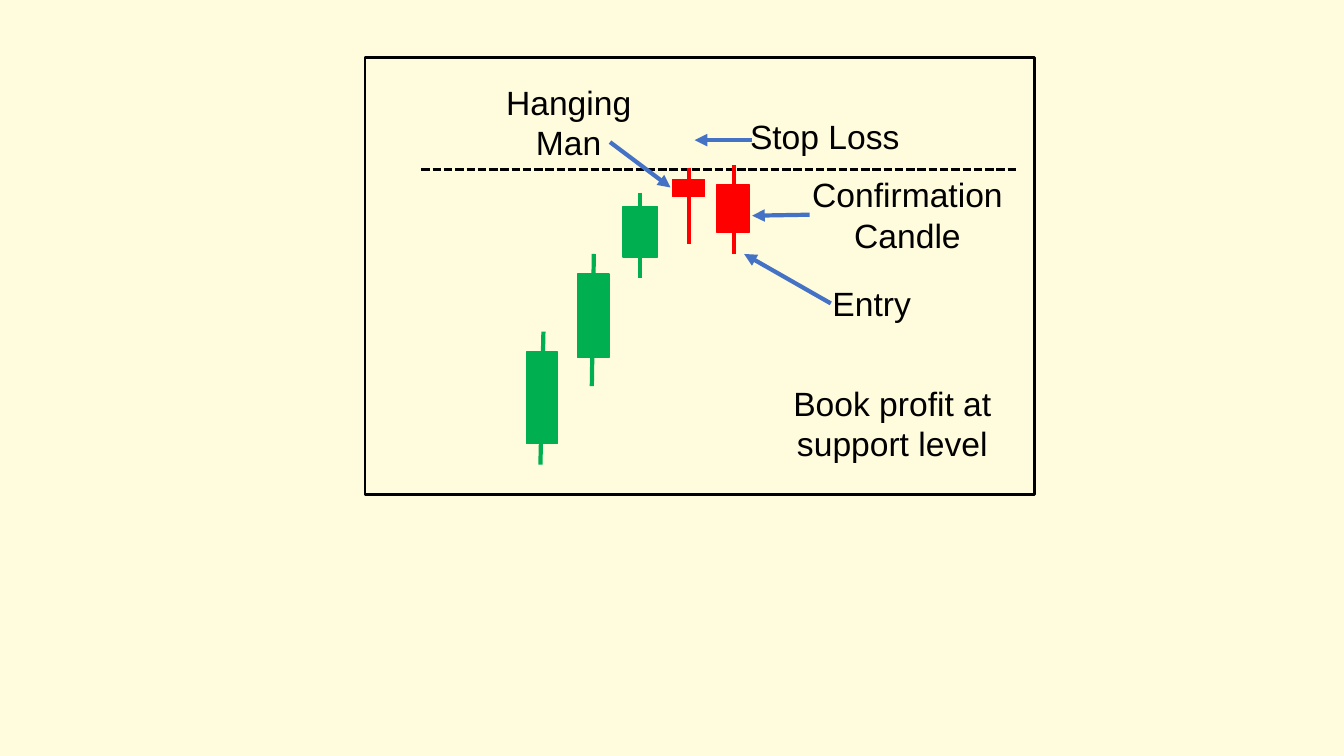
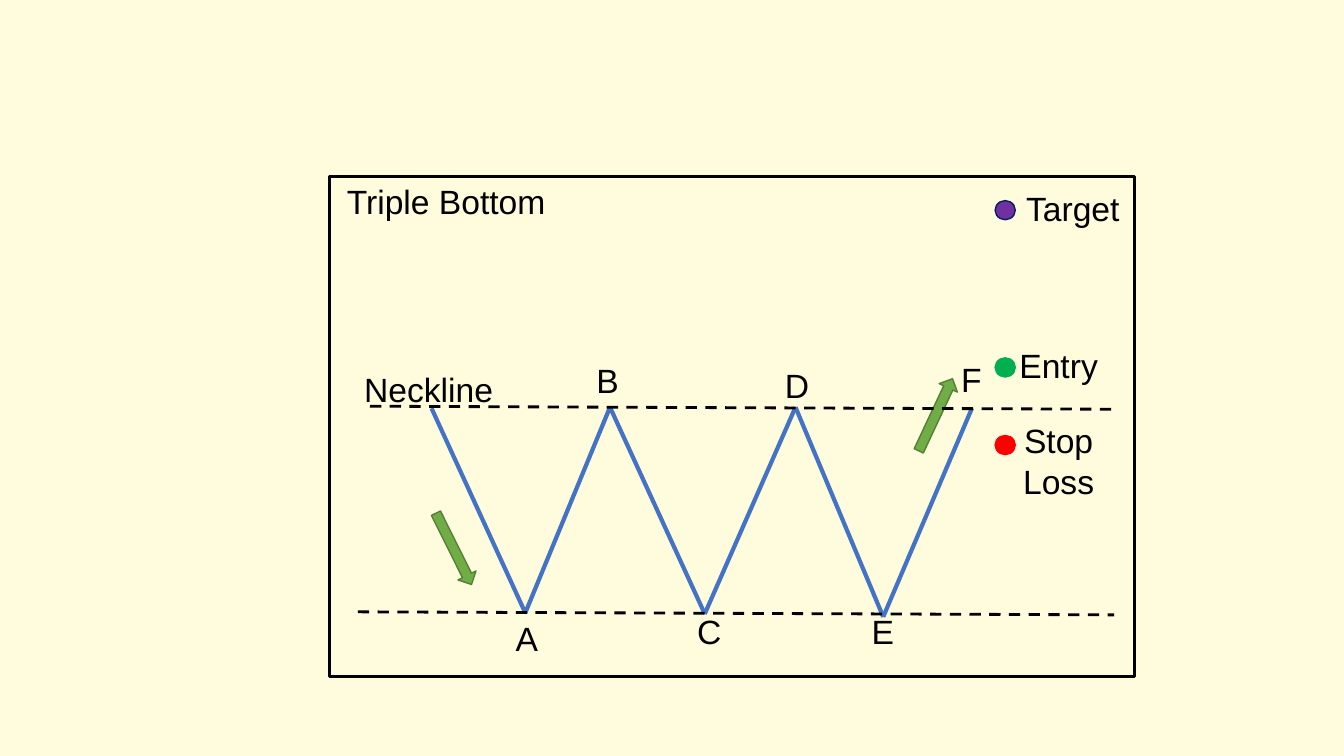
from itertools import pairwise

from lxml import etree
from pptx import Presentation
from pptx import util as u
from pptx.dml.color import RGBColor
from pptx.enum import dml, shapes, text
from pptx.oxml.ns import qn

COLORS = {
    "cream": "FFFBDD", "black": "000000", "blue": "4472C4", "red": "FF0000",
    "green": "00B050", "leaf": "70AD47", "moss": "538035",
    "purple": "7030A0", "navy": "002060",
}
RGB = {name: RGBColor.from_string(value) for name, value in COLORS.items()}
SHAPE = shapes.MSO_SHAPE
DASH = dml.MSO_LINE


def add_outline(slide, kind, box, line, fill=None, width=1, rotation=0):
    shape = slide.shapes.add_shape(kind, *map(u.Inches, box))
    shape.shadow.inherit = False
    shape.rotation = rotation
    shape.line.color.rgb = RGB[line]
    shape.line.width = u.Pt(width)
    if fill:
        shape.fill.solid()
        shape.fill.fore_color.rgb = RGB[fill]
    else:
        shape.fill.background()


def add_line(slide, start, end, color, width=3, dash=None, arrow=False):
    connector = slide.shapes.add_connector(
        shapes.MSO_CONNECTOR.STRAIGHT, *map(u.Inches, (*start, *end)))
    connector.line.color.rgb = RGB[color]
    connector.line.width = u.Pt(width)
    if dash:
        connector.line.dash_style = dash
    properties = connector._element.spPr
    if arrow:
        outline = properties.find(qn("a:ln"))
        etree.SubElement(outline, qn("a:tailEnd"), type="triangle")
    etree.SubElement(properties, qn("a:effectLst"))


presentation = Presentation()
presentation.slide_width = u.Inches(13.33)
presentation.slide_height = u.Inches(7.5)
background = presentation.slide_master.background.fill
background.solid()
background.fore_color.rgb = RGB["cream"]
blank = presentation.slide_layouts[6]

hanging_man = presentation.slides.add_slide(blank)
add_outline(hanging_man, SHAPE.RECTANGLE, (3.62, 0.57, 6.64, 4.34), "black", width=2)
add_line(hanging_man, (4.18, 1.68), (10.08, 1.68), "black", 2, DASH.SQUARE_DOT)

candles = [
    ("green", (5.22, 3.49, 0.31, 0.91), (5.39, 3.29), (5.36, 4.61)),
    ("green", (5.73, 2.72, 0.31, 0.83), (5.89, 2.52), (5.87, 3.83)),
    ("green", (6.18, 2.05, 0.34, 0.5), (6.35, 1.91), (6.35, 2.76)),
    ("red", (6.67, 1.78, 0.32, 0.17), (6.83, 1.67), (6.83, 2.42)),
    ("red", (7.11, 1.83, 0.32, 0.48), (7.28, 1.64), (7.28, 2.52)),
]
for color, body, wick_top, wick_bottom in candles:
    add_outline(hanging_man, SHAPE.RECTANGLE, body, color, color)
    add_line(hanging_man, wick_top, wick_bottom, color)

pointers = [
    ((6.05, 1.41), (6.65, 1.86)),
    ((7.46, 1.39), (6.89, 1.39)),
    ((8.03, 2.13), (7.46, 2.14)),
    ((8.24, 3.01), (7.38, 2.52)),
]
for start, end in pointers:
    add_line(hanging_man, start, end, "blue", arrow=True)

triple_bottom = presentation.slides.add_slide(blank)
add_outline(triple_bottom, SHAPE.RECTANGLE, (3.27, 1.75, 7.98, 4.96), "black", width=2)
for left, top, rotation in [(4.4, 5.05, 153.5), (9.18, 3.72, 25.1)]:
    add_outline(triple_bottom, SHAPE.UP_ARROW, (left, top, 0.2, 0.79),
                "moss", "leaf", rotation=rotation)

swings = [(4.28, 4.05), (5.21, 6.08), (6.05, 4.04), (6.99, 6.09),
          (7.89, 4.04), (8.76, 6.12), (9.64, 4.05)]
for start, end in pairwise(swings):
    add_line(triple_bottom, start, end, "blue")
for left, top in [(3.67, 4.03), (3.55, 6.07)]:
    add_line(triple_bottom, (left, top), (11.05, top + 0.03), "black", 2, DASH.DASH)
for top, fill, line in [(1.99, "purple", "navy"), (3.55, "green", "green"),
                        (4.32, "red", "red")]:
    add_outline(triple_bottom, SHAPE.OVAL, (9.87, top, 0.2, 0.19), line, fill)

labels = [
    (hanging_man, [
        ("Hanging Man", 4.67, 0.76, 1.94, 0.91),
        ("Stop Loss", 7.06, 1.1, 2.24, 0.5),
        ("Confirmation Candle", 7.75, 1.68, 2.5, 0.91),
        ("Entry", 7.84, 2.76, 1.61, 0.5),
        ("Book profit at support level", 7.62, 3.75, 2.46, 0.91),
    ]),
    (triple_bottom, [
        ("Triple Bottom", 3.24, 1.75, 2.37, 0.5),
        ("Neckline", 3.37, 3.61, 1.76, 0.5),
        ("Target", 9.87, 1.82, 1.54, 0.5),
        ("Entry", 9.73, 3.37, 1.54, 0.5),
        ("Stop Loss", 9.73, 4.12, 1.54, 0.91),
        ("A", 4.95, 6.08, 0.55, 0.5),
        ("B", 5.75, 3.52, 0.55, 0.5),
        ("C", 6.76, 6.01, 0.55, 0.5),
        ("D", 7.63, 3.57, 0.55, 0.5),
        ("E", 8.48, 6.01, 0.55, 0.5),
        ("F", 9.36, 3.51, 0.55, 0.5),
    ]),
]
for slide, entries in labels:
    for wording, *box in entries:
        frame = slide.shapes.add_textbox(*map(u.Inches, box)).text_frame
        frame.word_wrap = True
        frame.auto_size = text.MSO_AUTO_SIZE.SHAPE_TO_FIT_TEXT
        paragraph = frame.paragraphs[0]
        paragraph.alignment = text.PP_ALIGN.CENTER
        run = paragraph.add_run()
        run.text = wording
        run.font.name = "Arial"
        run.font.size = u.Pt(24)
        run.font.color.rgb = RGB["black"]

presentation.save("out.pptx")
